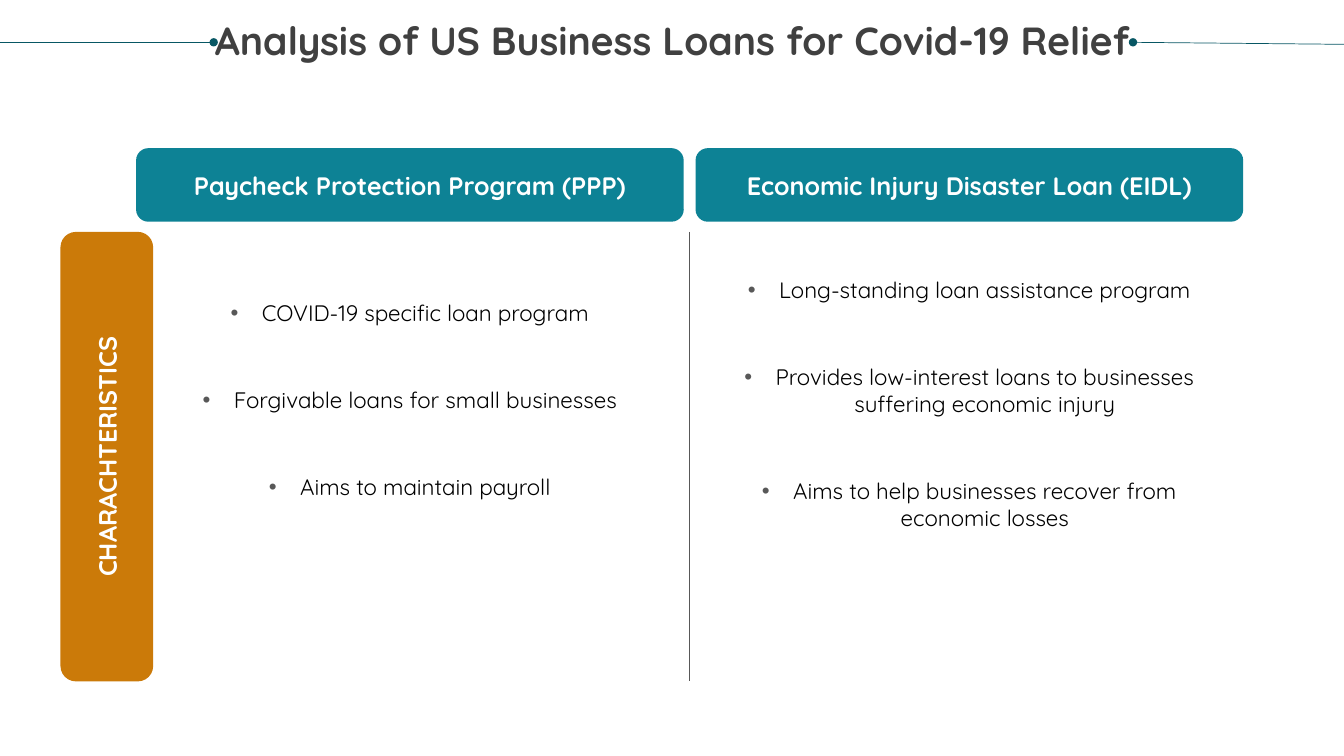
import pptx
import pptx.util
import pptx.dml.color
import pptx.enum.shapes
import pptx.enum.text
import pptx.oxml.ns
import lxml.etree

COLS, ROWS = 160, 90
FONT = "Quicksand"
TEAL, AMBER, DARK, GRAY = "0D8295", "CB7A09", "085764", "585858"
PROGRAMS = [
    ("Paycheck Protection Program (PPP)", 35.64, 29.52, [
        "COVID-19 specific loan program",
        "Forgivable loans for small businesses",
        "Aims to maintain payroll"]),
    ("Economic Injury Disaster Loan (EIDL)", 32.88, 38.76, [
        "Long-standing loan assistance program",
        "Provides low-interest loans to businesses suffering economic injury",
        "Aims to help businesses recover from economic losses"]),
]

deck = pptx.Presentation()
deck.slide_width = pptx.util.Inches(13.33)
deck.slide_height = pptx.util.Inches(7.5)


def grid(*spots):
    """Turn alternating columns and rows into slide lengths."""
    units = deck.slide_width / COLS, deck.slide_height / ROWS
    return [round(spot * units[i % 2]) for i, spot in enumerate(spots)]


def color(code):
    """Return the colour of a hex string."""
    return pptx.dml.color.RGBColor.from_string(code)


def add(parent, tag, **attrs):
    """Append a drawing element to its parent."""
    return lxml.etree.SubElement(parent, pptx.oxml.ns.qn(tag), attrs)


def style(frame, size, code, bold=False):
    """Centre the text of a frame and format its runs."""
    frame.word_wrap = True
    for para in frame.paragraphs:
        para.alignment = pptx.enum.text.PP_ALIGN.CENTER
        for run in para.runs:
            run.font.name = FONT
            run.font.size = pptx.util.Pt(size)
            run.font.bold = bold
            run.font.color.rgb = color(code)


def place(holder, box, text):
    """Move a placeholder to its box and fill it from the top."""
    holder.left, holder.top, holder.width, holder.height = grid(*box)
    frame = holder.text_frame
    frame.text = text
    frame.margin_left = frame.margin_right = 0
    frame.margin_top = frame.margin_bottom = 0
    frame.auto_size = pptx.enum.text.MSO_AUTO_SIZE.NONE
    frame.vertical_anchor = pptx.enum.text.MSO_ANCHOR.TOP
    return frame


def rule(slide, ends, code, dot=False):
    """Draw a thin line, with a dot at its start if wanted."""
    kind = pptx.enum.shapes.MSO_CONNECTOR.STRAIGHT
    line = slide.shapes.add_connector(kind, *grid(*ends))
    line.line.color.rgb = color(code)
    line.line.width = pptx.util.Pt(0.5)
    if dot:
        add(line.line._get_or_add_ln(), "a:headEnd", type="oval")
    add(line._element.spPr, "a:effectLst")


def label(slide, box, text, fill, turned=False):
    """Draw a rounded label, turned to read upwards if wanted."""
    left, top, width, height = grid(*box)
    if turned:
        left, top = left + (width - height) // 2, top + (height - width) // 2
        width, height = height, width
    kind = pptx.enum.shapes.MSO_SHAPE.ROUNDED_RECTANGLE
    shape = slide.shapes.add_shape(kind, left, top, width, height)
    shape.rotation = 270 if turned else 0
    shape.shadow.inherit = False
    shape.fill.solid()
    shape.fill.fore_color.rgb = color(fill)
    shape.line.fill.background()
    shape.text_frame.text = text
    shape.text_frame.vertical_anchor = pptx.enum.text.MSO_ANCHOR.MIDDLE
    style(shape.text_frame, 18, "FFFFFF", True)


def header(slide, box):
    """Set the title between two dotted lines."""
    left, top, width, height = box
    frame = place(slide.shapes.title, box,
                  "Analysis of US Business Loans for Covid-19 Relief")
    frame.paragraphs[0].line_spacing = 0.9
    style(frame, 28, "404040", True)
    mid = top + 2.52
    rule(slide, (left + 22.44, mid, 0, mid), DARK, True)
    rule(slide, (left + 131.88, mid, COLS, mid + 0.24), DARK, True)


def bullets(holder, box, items):
    """Fill a placeholder with a centred bullet list."""
    frame = place(holder, box, "\n".join(items))
    for i, para in enumerate(frame.paragraphs):
        props = para._p.get_or_add_pPr()
        indent = pptx.util.Inches(0.31)
        props.set("marL", str(indent))
        props.set("indent", str(-indent))
        add(add(props, "a:buClr"), "a:srgbClr", val=GRAY)
        add(props, "a:buFont", typeface="Arial")
        add(props, "a:buChar", char="•")
        para.line_spacing = pptx.util.Pt(19.3)
        para.space_before = pptx.util.Pt(42.8 if i else 0)
    style(frame, 16, "000000")


def column(slide, holder, box, program):
    """Draw one loan program: its heading and its list."""
    left, top, width, height = box
    name, start, depth, items = program
    label(slide, (left, top, width, 8.76), name, TEAL)
    bullets(holder, (left + 5.28, start, 54.6, depth), items)


def compare(slide, box):
    """Lay out the side bar, the divider and the two programs."""
    left, top, width, height = box
    body = top + 9.96
    bottom = top + height
    label(slide, (left, body, 11.04, bottom - body),
          "CHARACHTERISTICS", AMBER, True)
    rule(slide, (left + 74.88, body, left + 74.88, bottom), GRAY)
    holders = [h for h in slide.placeholders if h.placeholder_format.idx]
    for i, (holder, program) in enumerate(zip(holders, PROGRAMS)):
        spot = (left + 9 + i * 66.6, top, 65.2, height)
        column(slide, holder, spot, program)


def main():
    """Build the slide and save it."""
    slide = deck.slides.add_slide(deck.slide_layouts[3])
    header(slide, (3, 2.52, 153.96, 8.76))
    compare(slide, (7.2, 17.64, 140.8, 63.48))
    deck.save("out.pptx")


if __name__ == "__main__":
    main()
